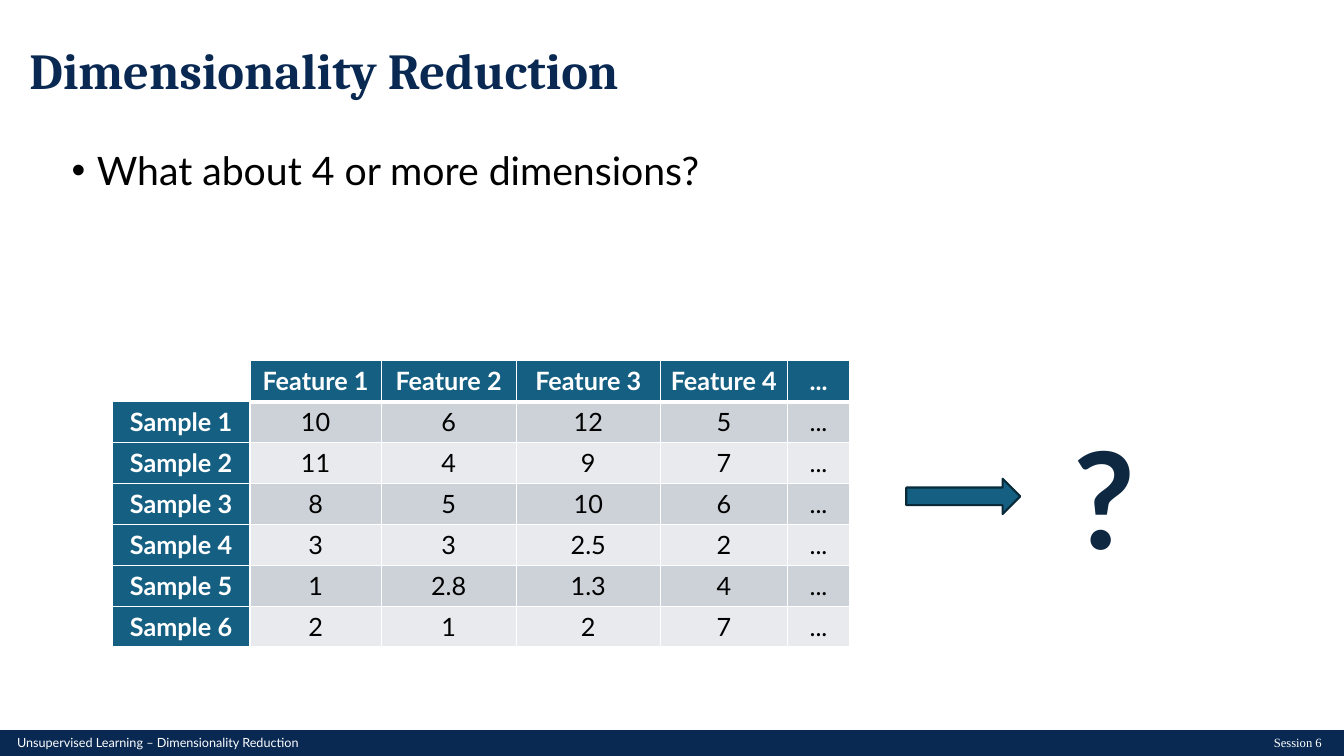
from dataclasses import dataclass

from lxml import etree
from pptx import Presentation
from pptx.dml.color import RGBColor
from pptx.enum.shapes import MSO_SHAPE
from pptx.enum.text import MSO_ANCHOR, MSO_AUTO_SIZE, PP_ALIGN
from pptx.oxml.ns import qn
from pptx.util import Inches, Pt

RECT, ARROW = MSO_SHAPE.RECTANGLE, MSO_SHAPE.RIGHT_ARROW
LEFT, CENTER, RIGHT, JUSTIFY = (
    PP_ALIGN.LEFT, PP_ALIGN.CENTER, PP_ALIGN.RIGHT, PP_ALIGN.JUSTIFY)
TOP, MIDDLE = MSO_ANCHOR.TOP, MSO_ANCHOR.MIDDLE
FIXED, GROW = MSO_AUTO_SIZE.NONE, MSO_AUTO_SIZE.SHAPE_TO_FIT_TEXT

NAVY = RGBColor(0x09, 0x29, 0x53)
INK = RGBColor(0x0E, 0x28, 0x41)
TEAL = RGBColor(0x15, 0x60, 0x82)
EDGE = RGBColor(0x09, 0x2A, 0x39)
DARK = RGBColor(0xCC, 0xD2, 0xD8)
LIGHT = RGBColor(0xE8, 0xEA, 0xED)
WHITE = RGBColor(0xFF, 0xFF, 0xFF)
BLACK = RGBColor(0, 0, 0)

WIDE, HIGH = Inches(13.33), Inches(7.5)


@dataclass
class Box:
    """Place on the slide, in percent of its width and height."""
    x: float
    y: float
    w: float
    h: float

    def emu(self) -> tuple:
        return (across(self.x), down(self.y), across(self.w), down(self.h))


@dataclass
class Style:
    size: float
    color: RGBColor
    font: str = "Lato"
    bold: bool = False
    align: PP_ALIGN = LEFT


@dataclass
class Label:
    text: str
    box: Box
    style: Style


@dataclass
class Block:
    kind: MSO_SHAPE
    box: Box
    fill: RGBColor
    line: RGBColor


HEAD = Style(18, WHITE, bold=True, align=CENTER)
DATA = Style(18, BLACK, align=CENTER)

BLOCKS = [
    Block(RECT, Box(0, 96.67, 100, 3.33), NAVY, NAVY),
    Block(ARROW, Box(67.43, 63.33, 8.48, 4.67), TEAL, EDGE),
]
LABELS = [
    Label("Unsupervised Learning – Dimensionality Reduction",
          Box(0.53, 96.53, 55.8, 3.33), Style(9, WHITE)),
    Label("Session 6", Box(43.28, 96.53, 55.8, 3.33),
          Style(9, WHITE, "Times New Roman", align=RIGHT)),
    Label("?", Box(79.13, 54.27, 11.63, 22.93), Style(96, INK, bold=True)),
]

GRID = Box(8.33, 47.73, 54.91, 37.87)
COLS = [10.28, 9.75, 10.05, 10.73, 9.45, 4.65]
VALUES = [
    ["10", "6", "12", "5"],
    ["11", "4", "9", "7"],
    ["8", "5", "10", "6"],
    ["3", "3", "2.5", "2"],
    ["1", "2.8", "1.3", "4"],
    ["2", "1", "2", "7"],
]


def across(share: float) -> int:
    return round(WIDE * share / 100)


def down(share: float) -> int:
    return round(HIGH * share / 100)


def format_text(para, style: Style) -> None:
    para.alignment = style.align
    for run in para.runs:
        font = run.font
        font.name, font.size, font.bold = style.font, Pt(style.size), style.bold
        font.color.rgb = style.color


def fill_holder(holder, label: Label, anchor: MSO_ANCHOR):
    holder.left, holder.top, holder.width, holder.height = label.box.emu()
    frame = holder.text_frame
    frame.text = label.text
    frame.auto_size, frame.vertical_anchor = FIXED, anchor
    para = frame.paragraphs[0]
    para.line_spacing, para.space_before = 0.9, Pt(0)
    format_text(para, label.style)
    return para


def add_bullet(para) -> None:
    props = para._p.get_or_add_pPr()
    props.set("marL", str(Inches(0.25)))
    props.set("indent", str(Inches(-0.25)))
    etree.SubElement(props, qn("a:buFont"), typeface="Arial")
    etree.SubElement(props, qn("a:buChar"), char="•")


def add_label(slide, label: Label) -> None:
    frame = slide.shapes.add_textbox(*label.box.emu()).text_frame
    frame.word_wrap, frame.auto_size = True, GROW
    frame.text = label.text
    format_text(frame.paragraphs[0], label.style)


def add_block(slide, block: Block) -> None:
    shape = slide.shapes.add_shape(block.kind, *block.box.emu())
    shape.shadow.inherit = False
    shape.fill.solid()
    shape.fill.fore_color.rgb = block.fill
    shape.line.color.rgb = block.line
    shape.line.width = Pt(1.5)


def add_border(cell, side: str, width: float) -> None:
    props = cell._tc.get_or_add_tcPr()
    line = etree.SubElement(props, qn(f"a:ln{side}"), w=str(Pt(width)))
    paint = etree.SubElement(line, qn("a:solidFill"))
    etree.SubElement(paint, qn("a:srgbClr"), val=str(WHITE))


def add_grid(slide) -> None:
    heads = [""] + [f"Feature {n}" for n in range(1, 5)] + ["..."]
    rows = [heads] + [[f"Sample {n}", *vals, "..."]
                      for n, vals in enumerate(VALUES, 1)]
    table = slide.shapes.add_table(len(rows), len(COLS), *GRID.emu()).table
    for col, share in zip(table.columns, COLS):
        col.width = across(share)
    for r, row in enumerate(rows):
        table.rows[r].height = down(GRID.h / len(rows))
        for c, text in enumerate(row):
            cell = table.cell(r, c)
            # A thick rule parts the header from the samples
            thick = {"T": r == 1 and c > 0, "B": r == 0 and c > 0}
            for side in "LRTB":
                add_border(cell, side, 3 if thick.get(side) else 1)
            head = r == 0 or c == 0
            band = DARK if r % 2 else LIGHT
            cell.fill.solid()
            cell.fill.fore_color.rgb = (
                WHITE if r == c == 0 else TEAL if head else band)
            cell.text = text
            format_text(cell.text_frame.paragraphs[0], HEAD if head else DATA)


def main() -> None:
    deck = Presentation()
    deck.slide_width, deck.slide_height = WIDE, HIGH
    slide = deck.slides.add_slide(deck.slide_layouts[1])

    # Title and question
    title, body = slide.placeholders
    fill_holder(title, Label("Dimensionality Reduction",
                             Box(1.43, 0, 86.25, 19.33),
                             Style(36, NAVY, "Cambria", True)), MIDDLE)
    para = fill_holder(body, Label("What about 4 or more dimensions?",
                                   Box(4.58, 19.33, 91.88, 72.67),
                                   Style(28, BLACK, align=JUSTIFY)), TOP)
    add_bullet(para)

    # Footer bar, arrow, table and texts
    for block in BLOCKS:
        add_block(slide, block)
    add_grid(slide)
    for label in LABELS:
        add_label(slide, label)

    deck.save("out.pptx")


if __name__ == "__main__":
    main()
